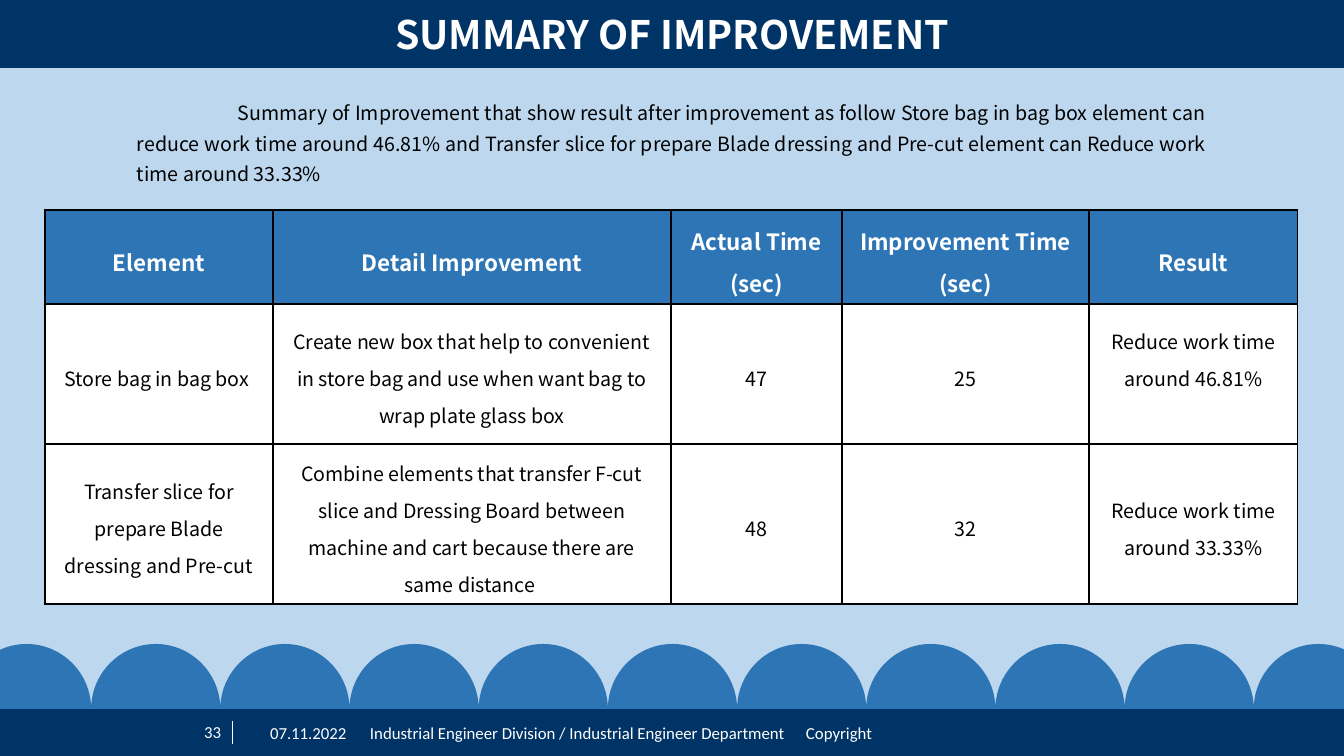
from dataclasses import dataclass

from lxml.etree import SubElement
from pptx import Presentation
from pptx.dml.color import RGBColor
from pptx.enum.shapes import MSO_CONNECTOR, MSO_SHAPE
from pptx.enum.text import MSO_ANCHOR as Anchor, MSO_AUTO_SIZE as AutoSize, PP_ALIGN as Align
from pptx.oxml.ns import qn
from pptx.util import Emu, Pt

SLIDE_WIDTH, SLIDE_HEIGHT = 1344, 756
SCALE = 12192000 / SLIDE_WIDTH


def px(length: float) -> Emu:
    return Emu(round(length * SCALE))


@dataclass(frozen=True)
class Theme:
    sky: RGBColor = RGBColor(0xBD, 0xD7, 0xEE)
    navy: RGBColor = RGBColor(0x00, 0x33, 0x66)
    blue: RGBColor = RGBColor(0x2E, 0x75, 0xB6)
    white: RGBColor = RGBColor(0xFF, 0xFF, 0xFF)
    black: RGBColor = RGBColor(0x00, 0x00, 0x00)
    body_font: str = "Noto Sans CJK JP"
    footer_font: str = "Calibri"
    title_size: int = 28
    header_size: int = 16
    body_size: int = 14
    footer_size: int = 12
    line_spacing: float = 1.3


@dataclass(frozen=True)
class Box:
    left: int
    top: int
    width: int
    height: int

    def emu(self) -> tuple[Emu, Emu, Emu, Emu]:
        return px(self.left), px(self.top), px(self.width), px(self.height)


@dataclass(frozen=True)
class FooterItem:
    text: str
    box: Box
    align: Align = Align.LEFT
    tab: int = 0


@dataclass(frozen=True)
class Improvement:
    element: str
    detail: str
    actual: str
    improved: str
    result: str
    height: int
    result_lift: int = 5

    def cells(self) -> tuple[str, ...]:
        return self.element, self.detail, self.actual, self.improved, self.result


THEME = Theme()
FOOTER_TOP = 709
SCALLOPS, SCALLOP_LEFT, SCALLOP_RIGHT, SCALLOP_TOP = 11, -38, 1383, 644
ROUNDNESS = 0.55
TABLE_BOX = Box(45, 210, 1253, 394)
COLUMN_WIDTHS = (228, 398, 171, 247, 209)
HEADINGS = ("Element", "Detail Improvement", "Actual Time\n(sec)",
            "Improvement Time (sec)", "Result")
HEADING_HEIGHT = 94
RESULT_COLUMN = 4
IMPROVEMENTS = (
    Improvement("Store bag in bag box ",
                "Create new box that help to convenient in store bag and use when "
                "want bag to wrap plate glass box",
                "47", "25", "Reduce work time around 46.81%", 140, 42),
    Improvement("Transfer slice for prepare Blade dressing and Pre-cut",
                "Combine elements that transfer F-cut slice and Dressing Board between "
                "machine and cart because there are same distance ",
                "48", "32", "Reduce work time around 33.33%", 160),
)
SUMMARY = ("Summary of Improvement that show result after improvement as follow Store "
           "bag in bag box element can reduce work time around 46.81% and Transfer slice "
           "for prepare Blade dressing and Pre-cut element can Reduce work time around 33.33%")
FOOTER = (
    FooterItem("Industrial Engineer Division / Industrial Engineer Department\tCopyright",
               Box(370, 715, 752, 35), tab=436),
    FooterItem("07.11.2022", Box(270, 721, 111, 24)),
    FooterItem("33", Box(132, 719, 89, 25), Align.RIGHT),
)


def style(paragraph, size: int, color: RGBColor, align: Align,
          bold: bool = False, font: str = THEME.body_font) -> None:
    paragraph.alignment = align
    paragraph.font.size = Pt(size)
    paragraph.font.name = font
    paragraph.font.bold = bold
    paragraph.font.color.rgb = color


def paint(shape, color: RGBColor) -> None:
    shape.shadow.inherit = False
    shape.fill.solid()
    shape.fill.fore_color.rgb = color
    shape.line.fill.background()


def add_band(slide, box: Box):
    band = slide.shapes.add_shape(MSO_SHAPE.RECTANGLE, *box.emu())
    paint(band, THEME.navy)
    return band


def add_title(slide) -> None:
    frame = add_band(slide, Box(0, 0, SLIDE_WIDTH, 68)).text_frame
    frame.text = "SUMMARY OF IMPROVEMENT"
    frame.vertical_anchor = Anchor.MIDDLE
    style(frame.paragraphs[0], THEME.title_size, THEME.white, Align.CENTER, bold=True)


def add_footer_item(slide, item: FooterItem) -> None:
    frame = slide.shapes.add_textbox(*item.box.emu()).text_frame
    frame.word_wrap = True
    frame.vertical_anchor = Anchor.MIDDLE
    frame.margin_left = frame.margin_right = frame.margin_top = frame.margin_bottom = 0
    frame.text = item.text
    paragraph = frame.paragraphs[0]
    if item.tab:
        tabs = SubElement(paragraph._p.get_or_add_pPr(), qn("a:tabLst"))
        SubElement(tabs, qn("a:tab"), pos=str(px(item.tab)), algn="l")
    style(paragraph, THEME.footer_size, THEME.white, item.align, font=THEME.footer_font)


def add_footer(slide) -> None:
    add_band(slide, Box(0, FOOTER_TOP, SLIDE_WIDTH, SLIDE_HEIGHT - FOOTER_TOP))
    divider = slide.shapes.add_connector(
        MSO_CONNECTOR.STRAIGHT, px(232), px(721), px(232), px(744))
    divider.line.color.rgb = THEME.white
    divider.line.width = Pt(0.25)
    SubElement(divider._element.spPr, qn("a:effectLst"))
    for item in FOOTER:
        add_footer_item(slide, item)


def bend(segment, rising: bool) -> None:
    end = segment[0]
    x, y = int(end.get("x")), int(end.get("y"))
    before = segment.getprevious()[-1]
    start_x, start_y = int(before.get("x")), int(before.get("y"))
    across, down = ROUNDNESS * (x - start_x), ROUNDNESS * (y - start_y)
    controls = (((start_x, start_y + down), (x - across, y)) if rising
                else ((start_x + across, start_y), (x, y - down)))
    segment.tag = qn("a:cubicBezTo")
    for index, (control_x, control_y) in enumerate(controls):
        control = SubElement(segment, qn("a:pt"), x=str(round(control_x)), y=str(round(control_y)))
        segment.insert(index, control)


def add_scallops(slide) -> None:
    radius = (SCALLOP_RIGHT - SCALLOP_LEFT) / SCALLOPS / 2
    builder = slide.shapes.build_freeform(px(SCALLOP_LEFT + radius), px(SCALLOP_TOP))
    for index in range(SCALLOPS):
        center = SCALLOP_LEFT + radius * (2 * index + 1)
        crest = px(center), px(SCALLOP_TOP)
        if index:
            builder.move_to(*crest)
        builder.add_line_segments(
            [(px(center + radius), px(FOOTER_TOP)),
             (px(center - radius), px(FOOTER_TOP)), crest], close=True)
    scallops = builder.convert_to_shape()
    paint(scallops, THEME.blue)
    for move in scallops._element.findall(".//" + qn("a:moveTo")):
        falling = move.getnext()
        rising = falling.getnext().getnext()
        bend(falling, rising=False)
        bend(rising, rising=True)


def add_summary(slide) -> None:
    frame = slide.shapes.add_textbox(*Box(127, 89, 1090, 101).emu()).text_frame
    frame.word_wrap = True
    frame.auto_size = AutoSize.SHAPE_TO_FIT_TEXT
    frame.text = SUMMARY
    paragraph = frame.paragraphs[0]
    paragraph.line_spacing = THEME.line_spacing
    paragraph._p.get_or_add_pPr().set("indent", str(px(101)))
    style(paragraph, THEME.body_size, THEME.black, Align.JUSTIFY)


def fill_cell(cell, text: str, heading: bool) -> None:
    cell.text = text
    cell.vertical_anchor = Anchor.MIDDLE
    size, color = ((THEME.header_size, THEME.white) if heading
                   else (THEME.body_size, THEME.black))
    for paragraph in cell.text_frame.paragraphs:
        paragraph.line_spacing = THEME.line_spacing
        style(paragraph, size, color, Align.CENTER, bold=heading)
    properties = cell._tc.get_or_add_tcPr()
    for side in ("a:lnL", "a:lnR", "a:lnT", "a:lnB"):
        border = SubElement(properties, qn(side), w=str(Pt(1)))
        solid = SubElement(border, qn("a:solidFill"))
        SubElement(solid, qn("a:srgbClr"), val=str(THEME.black))
    cell.fill.solid()
    cell.fill.fore_color.rgb = THEME.blue if heading else THEME.white


def add_improvements(slide) -> None:
    rows = (HEADINGS, *(item.cells() for item in IMPROVEMENTS))
    heights = (HEADING_HEIGHT, *(item.height for item in IMPROVEMENTS))
    table = slide.shapes.add_table(len(rows), len(HEADINGS), *TABLE_BOX.emu()).table
    for column, width in zip(table.columns, COLUMN_WIDTHS):
        column.width = px(width)
    for index, (texts, height) in enumerate(zip(rows, heights)):
        table.rows[index].height = px(height)
        for column, text in enumerate(texts):
            fill_cell(table.cell(index, column), text, heading=index == 0)
    for index, item in enumerate(IMPROVEMENTS, start=1):
        table.cell(index, RESULT_COLUMN).margin_bottom = px(item.result_lift)


def main() -> None:
    deck = Presentation()
    deck.slide_width, deck.slide_height = px(SLIDE_WIDTH), px(SLIDE_HEIGHT)
    slide = deck.slides.add_slide(deck.slide_layouts[6])
    slide.background.fill.solid()
    slide.background.fill.fore_color.rgb = THEME.sky
    for draw in (add_footer, add_title, add_improvements, add_scallops, add_summary):
        draw(slide)
    deck.save("out.pptx")


if __name__ == "__main__":
    main()
